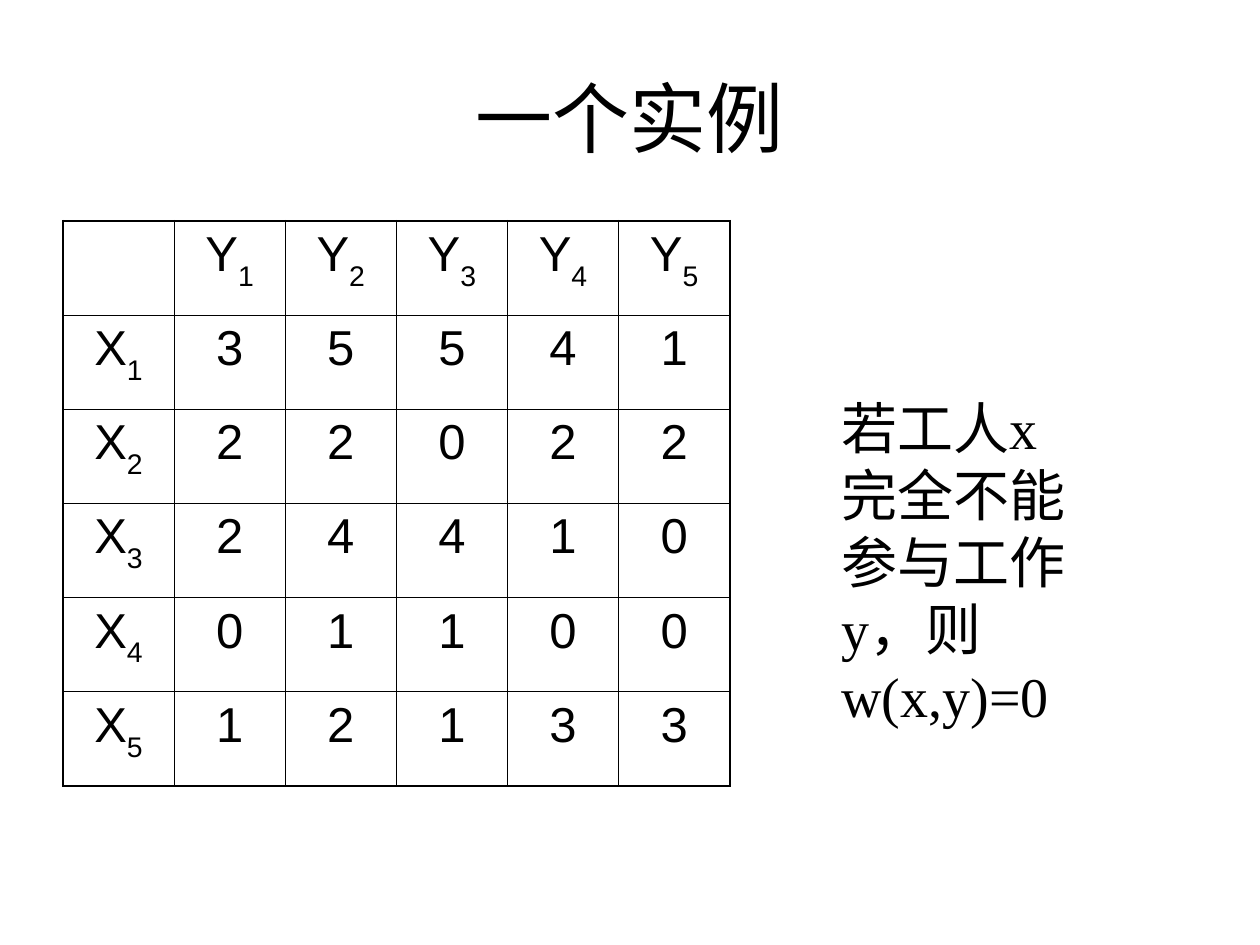
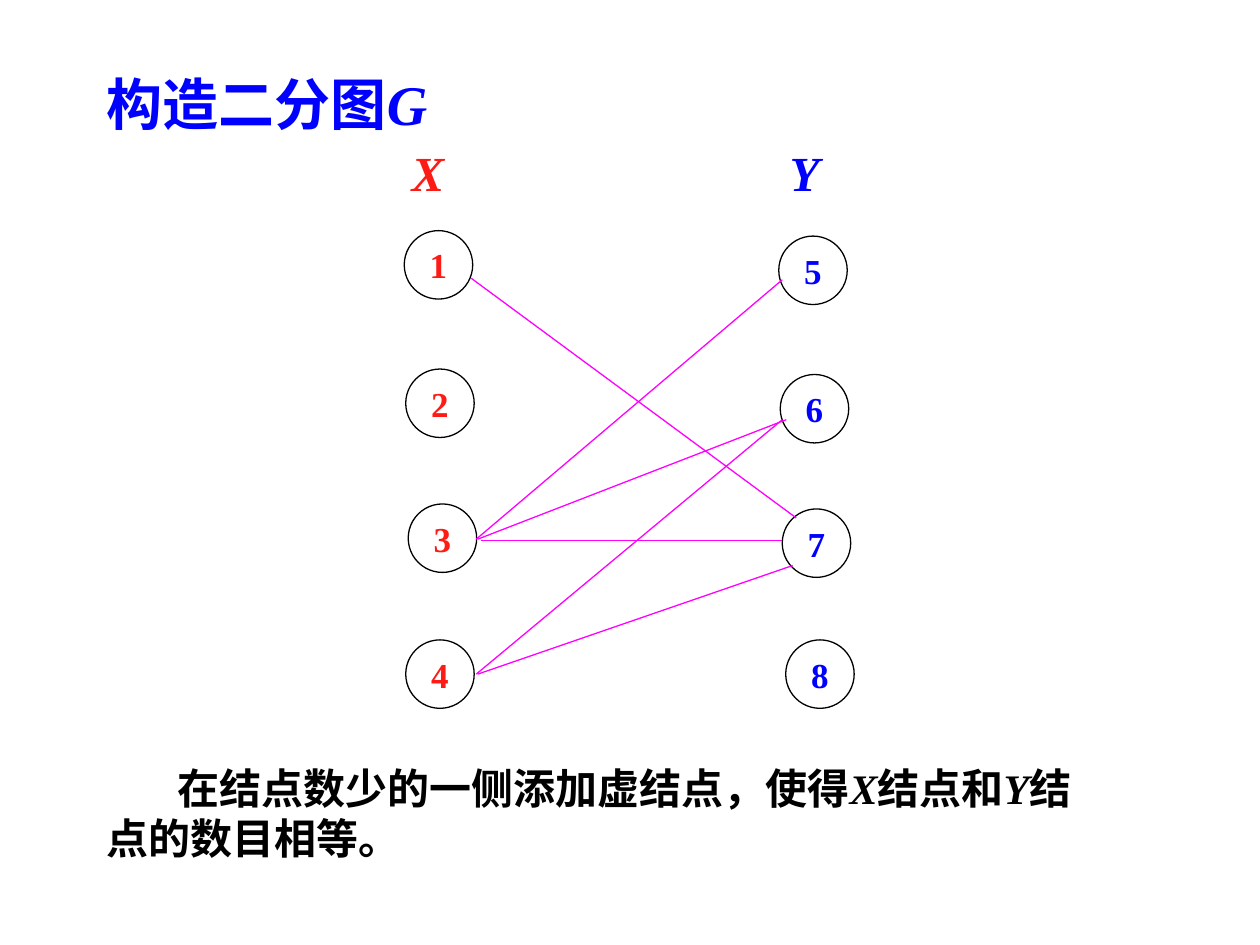
import pptx
import pptx.dml.color
import pptx.enum.shapes
import pptx.enum.text
import pptx.oxml.ns
import pptx.util
from lxml import etree

Cm = pptx.util.Cm
Pt = pptx.util.Pt
ALIGN = pptx.enum.text.PP_ALIGN
ANCHOR = pptx.enum.text.MSO_ANCHOR

EXAMPLE_TITLE = "一个实例"
WORKERS = ["X1", "X2", "X3", "X4", "X5"]
JOBS = ["Y1", "Y2", "Y3", "Y4", "Y5"]
WEIGHTS = [
    [3, 5, 5, 4, 1],
    [2, 2, 0, 2, 2],
    [2, 4, 4, 1, 0],
    [0, 1, 1, 0, 0],
    [1, 2, 1, 3, 3],
]
ZERO_WEIGHT_NOTE = "若工人x完全不能参与工作y，则w(x,y)=0"

GRAPH_TITLE = [("构造二分图", False), ("G", True)]
DUMMY_NODE_NOTE = [
    ("在结点数少的一侧添加虚结点，使得", False),
    ("X", True),
    ("结点和", False),
    ("Y", True),
    ("结点的数目相等。", False),
]
SIDES = [
    {"name": "X", "color": "red", "left": 8.05,
     "nodes": [("1", 8.15, 4.65), ("2", 8.18, 7.44), ("3", 8.23, 10.16), ("4", 8.18, 12.9)]},
    {"name": "Y", "color": "blue", "left": 15.67,
     "nodes": [("5", 15.7, 4.76), ("6", 15.73, 7.55), ("7", 15.77, 10.26), ("8", 15.84, 12.9)]},
]
EDGES = [
    ((9.5, 5.61), (16.05, 10.44)),
    ((9.6, 10.87), (15.77, 5.64)),
    ((9.63, 10.87), (15.85, 8.46)),
    ((9.7, 10.9), (15.77, 10.9)),
    ((9.6, 13.59), (15.77, 8.46)),
    ((9.63, 13.59), (15.98, 11.4)),
]

THEME = {
    "colors": {"black": "000000", "red": "FD1B15", "blue": "0000FF", "magenta": "FF00FF"},
    "fonts": {
        "title": {"name": "Arial", "size": Pt(44)},
        "cell": {"name": "Arial", "size": Pt(28)},
        "note": {"name": "Times New Roman", "size": Pt(32)},
        "heading": {"name": "Times New Roman", "size": Pt(32), "bold": True},
        "side": {"name": "Times New Roman", "size": Pt(28), "bold": True},
        "caption": {"name": "Times New Roman", "size": Pt(24), "bold": True},
        "node": {"name": "Times New Roman", "size": Pt(20), "bold": True},
    },
    "line": Pt(0.75),
    "inner_border": Pt(0.45),
    "outer_border": Pt(1.08),
}
NODE_SIZE = 1.38
COLUMN_WIDTH = 2.24
ROW_HEIGHT = 1.9


def set_attributes(target, values):
    for name, value in values.items():
        setattr(target, name, value)


def color_of(name):
    return pptx.dml.color.RGBColor.from_string(THEME["colors"][name])


def add_run(paragraph, text, style, color="black", **extra):
    run = paragraph.add_run()
    run.text = text
    set_attributes(run.font, {**THEME["fonts"][style], **extra})
    run.font.color.rgb = color_of(color)
    return run


def add_text(slide, box, runs, style, color="black", align=ALIGN.LEFT, anchor=ANCHOR.TOP):
    shape = slide.shapes.add_textbox(*map(Cm, box))
    set_attributes(shape.text_frame, {"word_wrap": True, "vertical_anchor": anchor})
    paragraph = shape.text_frame.paragraphs[0]
    paragraph.alignment = align
    for text, italic in runs:
        add_run(paragraph, text, style, color, italic=italic)
    return paragraph


def set_borders(cell, widths):
    properties = cell._tc.get_or_add_tcPr()
    for side, width in widths.items():
        line = etree.SubElement(properties, pptx.oxml.ns.qn(f"a:ln{side}"), w=str(width))
        fill = etree.SubElement(line, pptx.oxml.ns.qn("a:solidFill"))
        etree.SubElement(fill, pptx.oxml.ns.qn("a:srgbClr"), val=THEME["colors"]["black"])


def add_weight_table(slide):
    rows = [["", *JOBS]] + [[worker, *map(str, row)] for worker, row in zip(WORKERS, WEIGHTS)]
    row_count, column_count = len(rows), len(rows[0])
    table = slide.shapes.add_table(
        row_count, column_count, Cm(1.27), Cm(4.45),
        Cm(COLUMN_WIDTH * column_count), Cm(ROW_HEIGHT * row_count)).table
    set_attributes(table, {"first_row": False, "horz_banding": False})
    inner, outer = THEME["inner_border"], THEME["outer_border"]
    for row_index, row in enumerate(rows):
        for column_index, label in enumerate(row):
            cell = table.cell(row_index, column_index)
            set_borders(cell, {
                "L": outer if column_index == 0 else inner,
                "R": outer if column_index == column_count - 1 else inner,
                "T": outer if row_index == 0 else inner,
                "B": outer if row_index == row_count - 1 else inner,
            })
            cell.fill.background()
            paragraph = cell.text_frame.paragraphs[0]
            paragraph.alignment = ALIGN.CENTER
            if label:
                add_run(paragraph, label[0], "cell")
            if label[1:]:
                subscript = add_run(paragraph, label[1:], "cell")
                subscript.font._element.set("baseline", "-30000")


def add_node(slide, label, left, top, color):
    node = slide.shapes.add_shape(
        pptx.enum.shapes.MSO_SHAPE.OVAL, Cm(left), Cm(top), Cm(NODE_SIZE), Cm(NODE_SIZE))
    node.shadow.inherit = False
    node.fill.background()
    node.line.color.rgb = color_of("black")
    node.line.width = THEME["line"]
    set_attributes(node.text_frame, {
        "margin_left": 0, "margin_right": 0, "margin_top": 0, "margin_bottom": 0,
        "vertical_anchor": ANCHOR.MIDDLE,
    })
    paragraph = node.text_frame.paragraphs[0]
    paragraph.alignment = ALIGN.CENTER
    add_run(paragraph, label, "node", color)


def add_edge(slide, start, end):
    edge = slide.shapes.add_connector(
        pptx.enum.shapes.MSO_CONNECTOR.STRAIGHT, *map(Cm, start + end))
    edge.line.color.rgb = color_of("magenta")
    edge.line.width = THEME["line"]
    etree.SubElement(edge._element.spPr, pptx.oxml.ns.qn("a:effectLst"))


def build_example(slide):
    add_text(slide, (1.27, 0.76, 22.86, 3.18), [(EXAMPLE_TITLE, False)], "title",
             align=ALIGN.CENTER, anchor=ANCHOR.MIDDLE)
    add_weight_table(slide)
    add_text(slide, (16.71, 7.8, 5.28, 7.04), [(ZERO_WEIGHT_NOTE, False)], "note")


def build_graph(slide):
    add_text(slide, (1.9, 1.27, 9.32, 1.63), GRAPH_TITLE, "heading", "blue")
    for side in SIDES:
        add_text(slide, (side["left"], 2.74, 1.9, 1.45), [(side["name"], True)],
                 "side", side["color"])
        for label, left, top in side["nodes"]:
            add_node(slide, label, left, top, side["color"])
    for start, end in EDGES:
        add_edge(slide, start, end)
    caption = add_text(slide, (1.9, 15.24, 20.32, 2.29), DUMMY_NODE_NOTE, "caption")
    caption._p.get_or_add_pPr().set("indent", str(Cm(1.43)))


def main():
    presentation = pptx.Presentation()
    set_attributes(presentation, {"slide_width": Cm(25.4), "slide_height": Cm(19.05)})
    for build in (build_example, build_graph):
        build(presentation.slides.add_slide(presentation.slide_layouts[6]))
    presentation.save("out.pptx")


if __name__ == "__main__":
    main()
